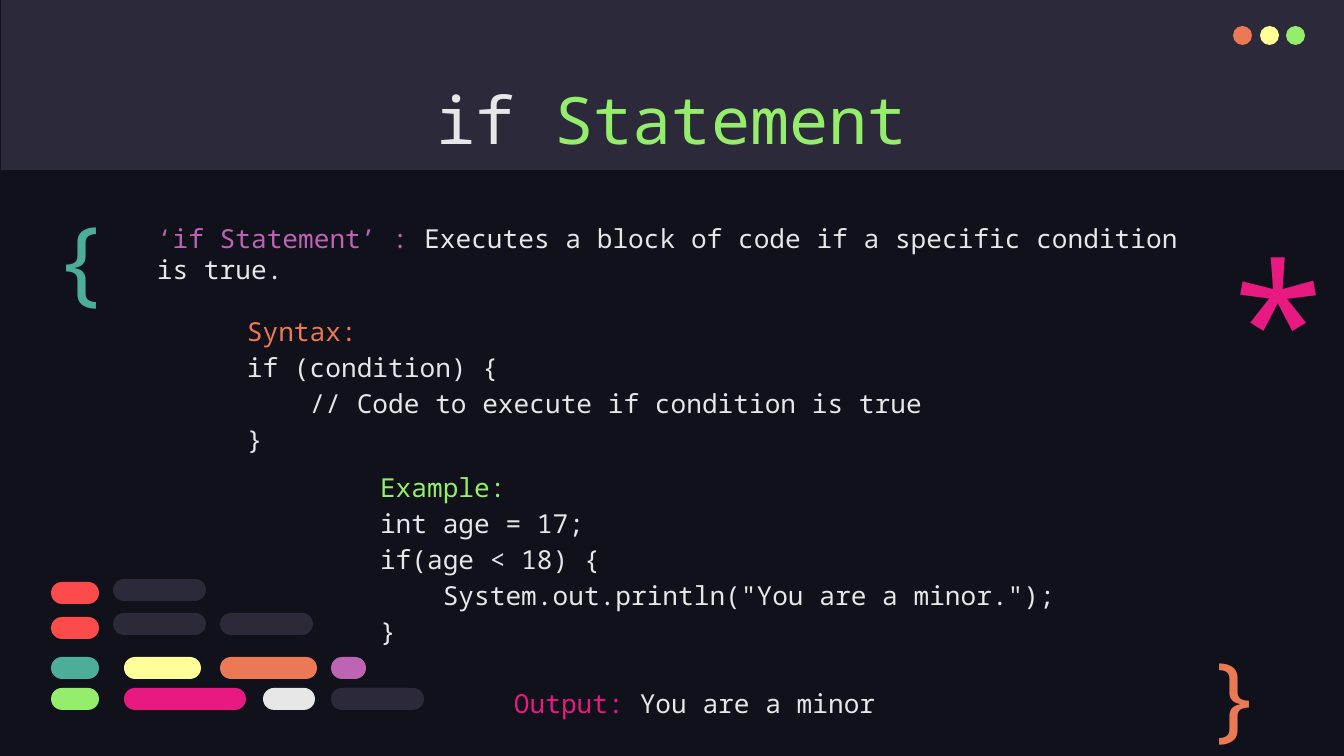
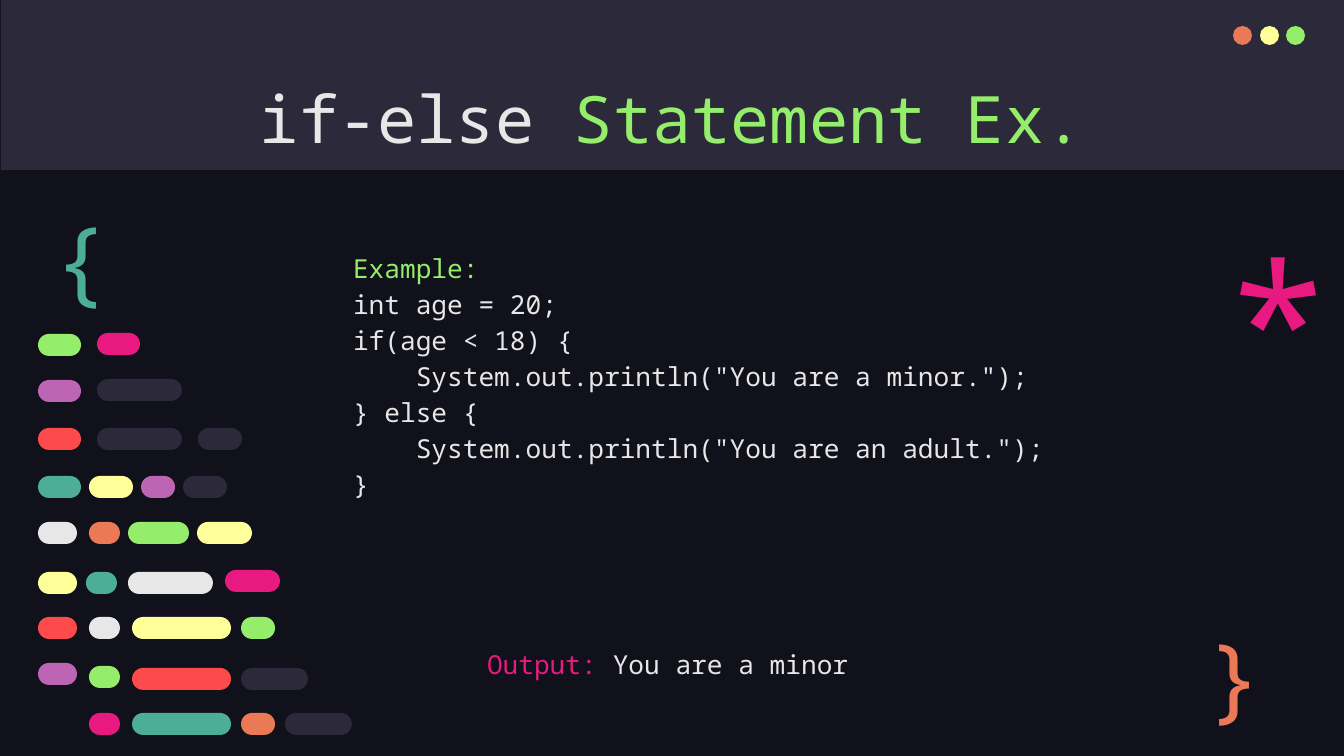
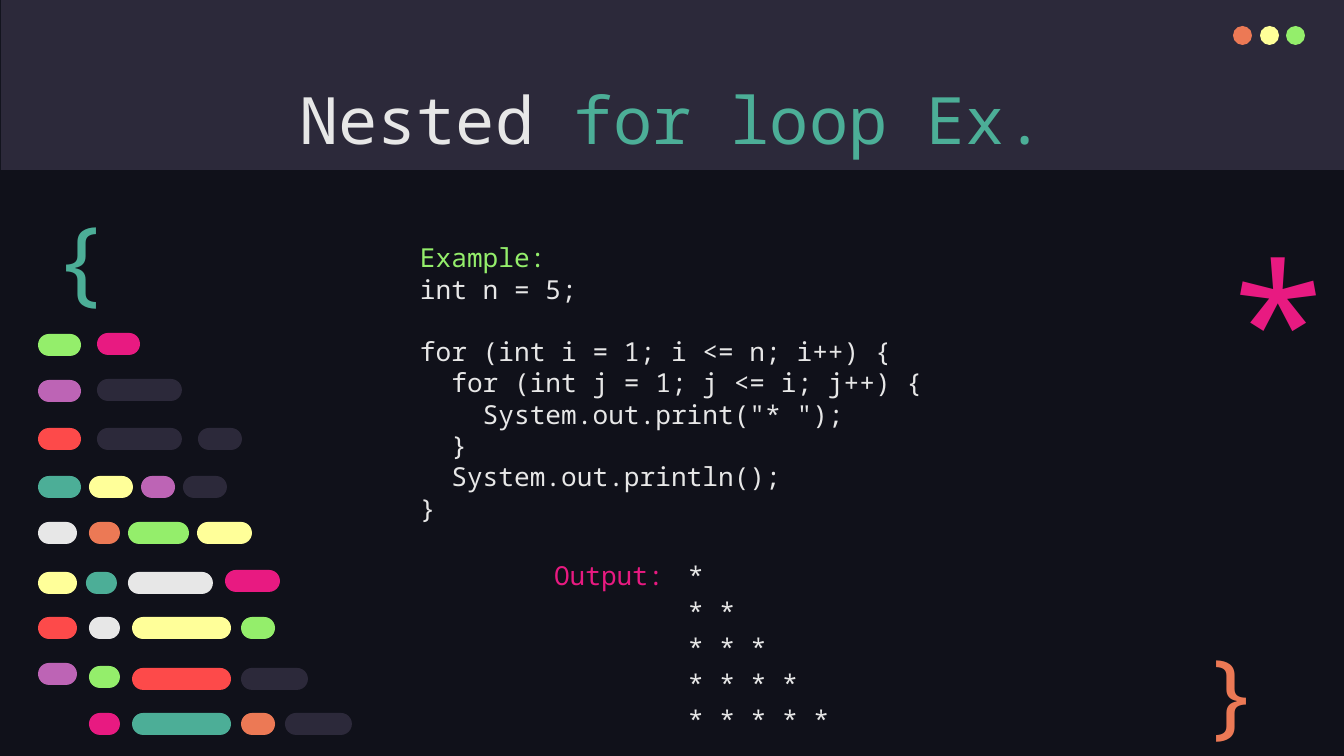
from pptx import Presentation
from pptx.dml.color import RGBColor
from pptx.enum.shapes import MSO_SHAPE as Kind
from pptx.enum.text import MSO_ANCHOR as Anchor, MSO_AUTO_SIZE as Fit, PP_ALIGN as Align
from pptx.util import Emu, Inches, Pt

WIDE, HIGH = 1344, 756
FONT = "Noto Sans Mono"
NIGHT, SLATE, WHITE = "10111A", "2C293A", "E7E7E7"
ORANGE, YELLOW, GREEN, TEAL = "EC7955", "FFFF99", "94EE6B", "4CAE97"
PINK, RED, PURPLE = "E81A81", "FD4A4A", "BD64B5"
TAB = 134


def px(n):
    return Emu(round(n * Inches(10) / WIDE))


def hue(code):
    return RGBColor.from_string(code)


def row(*parts, lead=1.15, gap=0, left=0, hang=0):
    return parts, lead, gap, left, hang


def code(lines, lead=1.15):
    return [row((line, WHITE), lead=lead) for line in lines]


class Deck:
    def __init__(self):
        self.prs = Presentation()
        self.prs.slide_width, self.prs.slide_height = px(WIDE), px(HIGH)
        back = self.prs.slide_master.background.fill
        back.solid()
        back.fore_color.rgb = hue(NIGHT)
        self.plan = self.prs.slide_layouts[5]
        for hold in list(self.plan.placeholders):
            if hold.placeholder_format.idx:
                hold.element.getparent().remove(hold.element)
        self.slide = None

    def block(self, kind, box, fill, host=None):
        shape = (host or self.slide).shapes.add_shape(kind, *map(px, box))
        shape.shadow.inherit = False
        shape.fill.solid()
        shape.fill.fore_color.rgb = hue(fill)
        shape.line.fill.background()
        return shape

    def frame(self):
        band = self.block(Kind.RECTANGLE, (1, 0, WIDE, 170), SLATE)
        dots = self.slide.shapes.add_group_shape()
        for x, fill in (1233, ORANGE), (1260, YELLOW), (1286, GREEN):
            self.block(Kind.OVAL, (x, 26, 19, 19), fill, dots)
        for part in band, dots:
            self.plan.shapes.element.append(part.element)

    def start(self, top, *parts):
        first = self.slide is None
        self.slide = self.prs.slides.add_slide(self.plan)
        if first:
            self.frame()
        title = self.slide.shapes.title
        title.left, title.top, title.width, title.height = map(px, (106, top, 1132, 85))
        self.flow(title.text_frame, [row(*parts, lead=1)], 35, 13)
        title.text_frame.paragraphs[0].alignment = Align.CENTER

    def flow(self, frame, rows, size, pad, anchor=Anchor.TOP, fit=Fit.NONE):
        frame.word_wrap = True
        frame.auto_size = fit
        frame.vertical_anchor = anchor
        frame.margin_left = frame.margin_right = px(13)
        frame.margin_top = frame.margin_bottom = px(pad)
        for i, (parts, lead, gap, left, hang) in enumerate(rows):
            para = frame.add_paragraph() if i else frame.paragraphs[0]
            para.line_spacing = float(lead)
            if gap:
                para.space_before = px(gap)
            if left:
                props = para._p.get_or_add_pPr()
                props.set("marL", str(px(left)))
                props.set("indent", str(px(-hang)))
            for words, tint in parts:
                run = para.add_run()
                run.text = words
                run.font.name = FONT
                run.font.size = Pt(size)
                run.font.color.rgb = hue(tint)

    def text(self, box, rows, size=14, pad=7, anchor=Anchor.TOP, fit=Fit.SHAPE_TO_FIT_TEXT):
        area = self.slide.shapes.add_textbox(*map(px, box))
        self.flow(area.text_frame, rows, size, pad, anchor, fit)

    def sign(self, mark, box, size, tint, anchor=Anchor.TOP):
        self.text(box, [row((mark, tint), lead=1)], size, 13, anchor, Fit.NONE)

    def signs(self, x, y):
        self.sign("*", (1212, 199, 77, 117), 96, PINK)
        self.sign("{", (40, 188, 103, 128), 50, TEAL)
        self.sign("}", (x, y, 77, 112), 50, ORANGE, Anchor.MIDDLE)

    def pills(self, rows):
        group = self.slide.shapes.add_group_shape()
        for y, bars in rows:
            for x, wide, fill in bars:
                pill = self.block(Kind.ROUNDED_RECTANGLE, (x, y, wide, 22), fill, group)
                pill.adjustments[0] = 0.5


SHORT = [
    (579, [(113, 93, SLATE)]),
    (582, [(51, 48, RED)]),
    (613, [(113, 93, SLATE), (220, 93, SLATE)]),
    (617, [(51, 48, RED)]),
    (657, [(51, 48, TEAL), (124, 77, YELLOW), (220, 97, ORANGE), (331, 35, PURPLE)]),
    (688, [(51, 48, GREEN), (124, 122, PINK), (263, 52, WHITE), (331, 93, SLATE)]),
]
TALL = [
    (333, [(97, 43, PINK)]),
    (334, [(38, 43, GREEN)]),
    (379, [(97, 85, SLATE)]),
    (380, [(38, 43, PURPLE)]),
    (428, [(38, 43, RED), (97, 85, SLATE), (198, 44, SLATE)]),
    (476, [(38, 43, TEAL), (89, 44, YELLOW), (141, 34, PURPLE), (183, 44, SLATE)]),
    (522, [(38, 39, WHITE), (89, 31, ORANGE), (128, 61, GREEN), (197, 55, YELLOW)]),
    (570, [(225, 55, PINK)]),
    (572, [(38, 39, YELLOW), (86, 31, TEAL), (128, 85, WHITE)]),
    (617, [(38, 39, RED), (89, 31, WHITE), (132, 99, YELLOW), (241, 34, GREEN)]),
    (663, [(38, 39, PURPLE)]),
    (666, [(89, 31, GREEN)]),
    (668, [(132, 99, RED), (241, 67, SLATE)]),
    (713, [(89, 31, PINK), (132, 99, TEAL), (241, 34, ORANGE), (285, 67, SLATE)]),
]
HEAD = row(("Example:", GREEN))


def result(gap):
    return row(("Output: ", PINK), ("You are a minor", WHITE), gap=gap, left=TAB)


def plain(deck):
    deck.start(66, ("if ", WHITE), ("Statement", GREEN))
    lines = ["if (condition) {", "    // Code to execute if condition is true", "}"]
    deck.text((234, 298, 734, 156), [row(("Syntax:", ORANGE)), *code(lines)], pad=13, fit=Fit.NONE)
    deck.pills(SHORT)
    deck.signs(1193, 637)
    deck.text((144, 215, 1055, 77), [row(
        ("‘if Statement’ : ", PURPLE),
        ("Executes a block of code if a specific condition is true.", WHITE), lead=1)])
    lines = ["int age = 17;", "if(age < 18) {",
             '    System.out.println("You are a minor.");', "}"]
    deck.text((367, 460, 833, 266), [HEAD, *code(lines), result(36)])


def either(deck):
    deck.start(65, ("if-else ", WHITE), ("Statement Ex.", GREEN))
    deck.signs(1193, 618)
    lines = ["int age = 20;", "if(age < 18) {",
             '    System.out.println("You are a minor.");', "} else {",
             '    System.out.println("You are an adult.");', "}"]
    deck.text((340, 239, 800, 449), [HEAD, *code(lines), result(144)], anchor=Anchor.MIDDLE)
    deck.pills(TALL)


def nested(deck):
    deck.start(66, ("Nested ", WHITE), ("for loop Ex.", TEAL))
    deck.signs(1191, 634)
    loop = ["  for (int j = 1; j <= i; j++) {", '    System.out.print("* ");',
            "  }", "  System.out.println();", "}"]
    stars = [row((" ".join("*" * n), WHITE), left=2 * TAB) for n in range(2, 6)]
    deck.text((407, 230, 781, 510), [
        HEAD,
        *code(["int n = 5;"], 1),
        row(("for (int i = 1; i <= n; i++) {", WHITE), lead=1, gap=31),
        *code(loop, 1),
        row(("Output:", PINK), ("\t*", WHITE), gap=31, left=2 * TAB, hang=TAB),
        *stars])
    deck.pills(TALL)


def main():
    deck = Deck()
    for build in plain, either, nested:
        build(deck)
    deck.prs.save("out.pptx")


if __name__ == "__main__":
    main()
